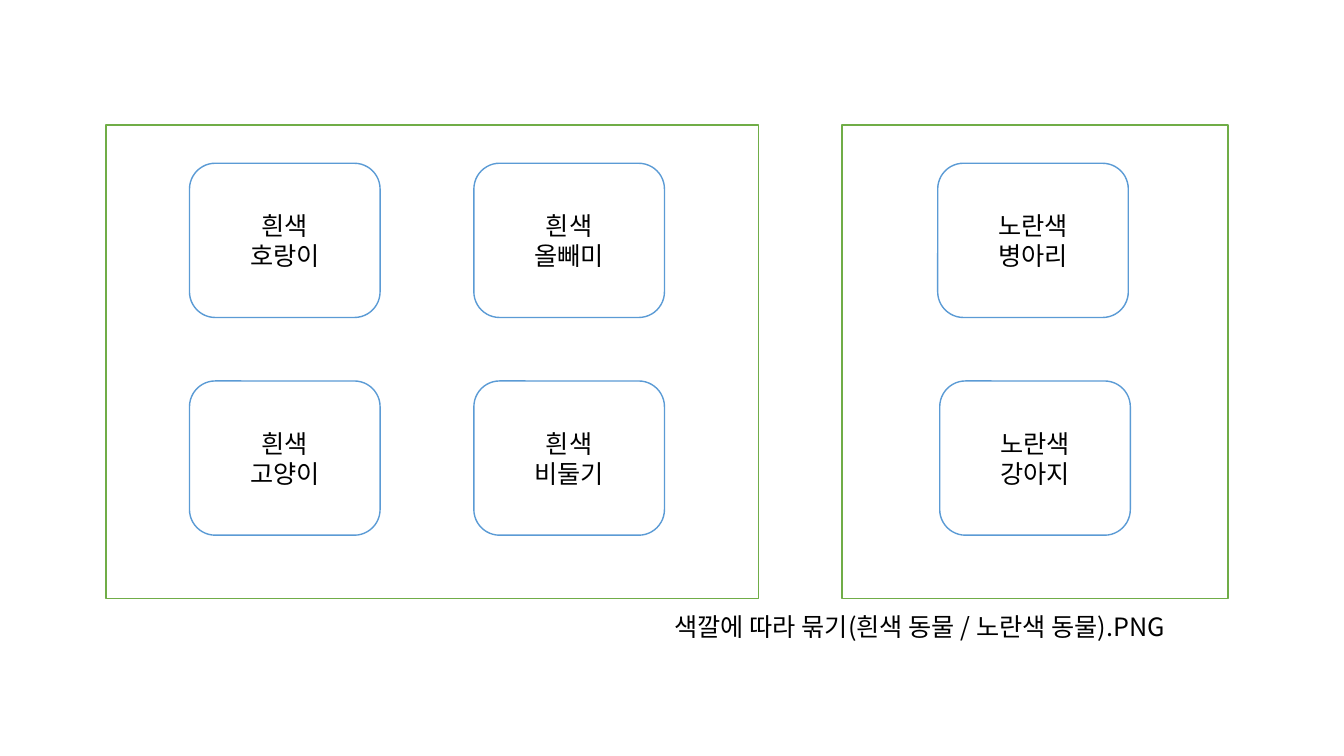
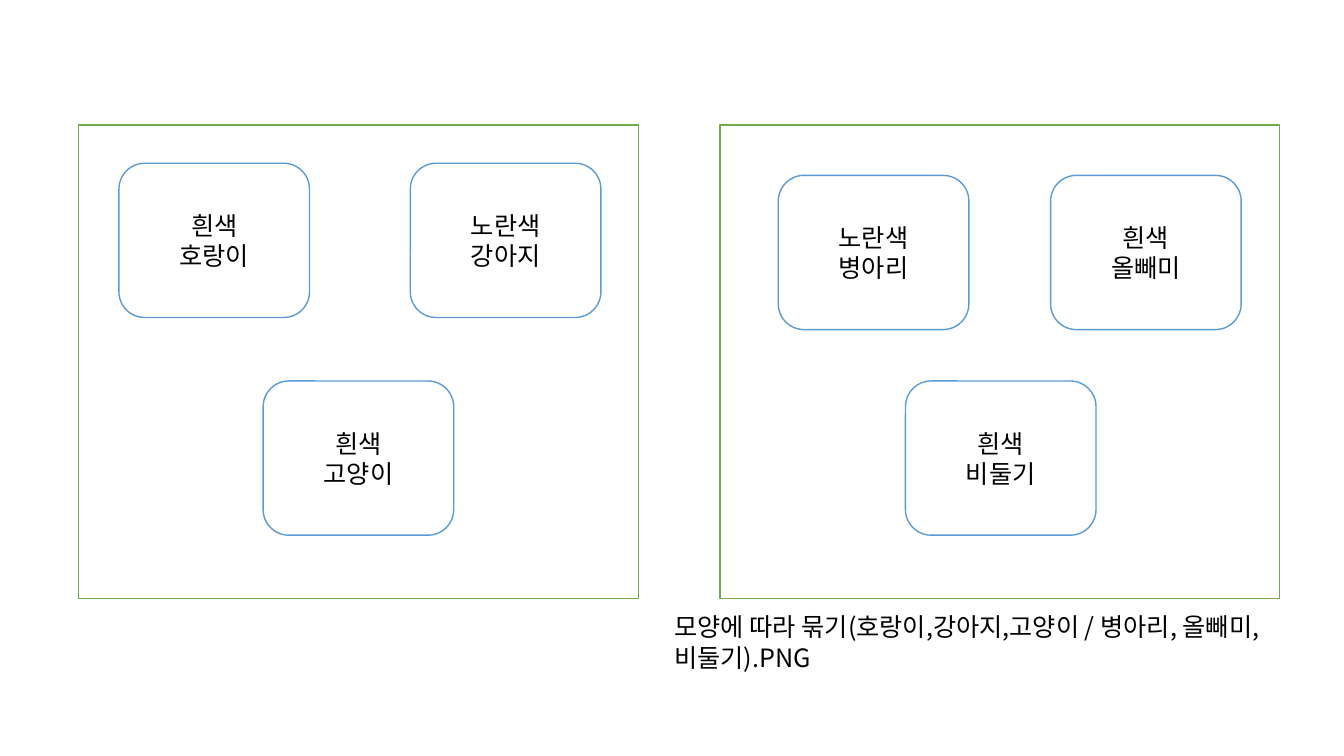
from lxml import etree
from pptx import Presentation
from pptx.dml.color import RGBColor
from pptx.enum.shapes import MSO_SHAPE
from pptx.enum.text import MSO_ANCHOR, MSO_AUTO_SIZE, PP_ALIGN
from pptx.oxml.ns import qn
from pptx.util import Inches, Pt

RECTANGLE, ROUNDED = MSO_SHAPE.RECTANGLE, MSO_SHAPE.ROUNDED_RECTANGLE
MIDDLE = MSO_ANCHOR.MIDDLE
LEFT, CENTER = PP_ALIGN.LEFT, PP_ALIGN.CENTER
GROW = MSO_AUTO_SIZE.SHAPE_TO_FIT_TEXT

# Shared positions, in percent of the slide's width or height
PANEL_TOP, PANEL_HEIGHT = 16.53, 62.67
CARD_WIDTH, CARD_HEIGHT = 14.18, 20.4
UPPER, UPPER_LOW, LOWER = 21.6, 23.2, 50.4
CAPTION_LEFT, CAPTION_TOP, CAPTION_WIDTH = 49.44, 80.27, 46.29
CAPTION_LINE = 5.33


def color(value):
    return RGBColor.from_string(value)


class Board:
    """Holds the style and the current slide."""
    font, size = "Noto Sans CJK KR", 18
    paper, ink = "FFFFFF", "000000"
    panel_line, card_line = "70AD47", "5B9BD5"

    def __init__(self, deck):
        self.deck = deck
        self.page = None

    def new_page(self):
        self.page = self.deck.slides.add_slide(self.deck.slide_layouts[6])

    def frame(self, left, top, width, height):
        across, down = self.deck.slide_width / 100, self.deck.slide_height / 100
        return (round(left * across), round(top * down),
                round(width * across), round(height * down))

    def outlined(self, kind, line, *place):
        box = self.page.shapes.add_shape(kind, *self.frame(*place))
        box.shadow.inherit = False
        box.fill.solid()
        box.fill.fore_color.rgb = color(self.paper)
        box.line.color.rgb = color(line)
        box.line.width = Pt(1)
        return box

    def fill_text(self, text_frame, text, align):
        text_frame.word_wrap = True
        for number, line in enumerate(text.split("\n")):
            para = text_frame.add_paragraph() if number else text_frame.paragraphs[0]
            para.text = line
            para.alignment = align
            font = para.font
            font.name, font.size = self.font, Pt(self.size)
            font.color.rgb = color(self.ink)
            # Korean glyphs take the East Asian typeface
            defaults = para._p.pPr.find(qn("a:defRPr"))
            etree.SubElement(defaults, qn("a:ea"), typeface=self.font)

    def panel(self, left, width):
        self.outlined(RECTANGLE, self.panel_line, left, PANEL_TOP, width, PANEL_HEIGHT)

    def card(self, left, top, hue, animal):
        box = self.outlined(ROUNDED, self.card_line, left, top, CARD_WIDTH, CARD_HEIGHT)
        box.text_frame.vertical_anchor = MIDDLE
        self.fill_text(box.text_frame, f"{hue}\n{animal}", CENTER)

    def caption(self, text, lines):
        place = self.frame(CAPTION_LEFT, CAPTION_TOP, CAPTION_WIDTH, CAPTION_LINE * lines)
        box = self.page.shapes.add_textbox(*place)
        self.fill_text(box.text_frame, text, LEFT)
        box.text_frame.auto_size = GROW


WHITE, YELLOW = "흰색", "노란색"

# Each page: panels (left, width), cards (left, top, hue, animal), caption, its lines
PAGES = [
    # Grouped by color
    ([(62.64, 28.73), (7.88, 48.54)],
     [(14.1, UPPER, WHITE, "호랑이"),
      (35.26, UPPER, WHITE, "올빼미"),
      (69.92, LOWER, YELLOW, "강아지"),
      (14.1, LOWER, WHITE, "고양이"),
      (69.77, UPPER, YELLOW, "병아리"),
      (35.26, LOWER, WHITE, "비둘기")],
     "색깔에 따라 묶기(흰색 동물 / 노란색 동물).PNG", 1),
    # Grouped by shape
    ([(53.56, 41.64), (5.85, 41.64)],
     [(8.85, UPPER, WHITE, "호랑이"),
      (78.17, UPPER_LOW, WHITE, "올빼미"),
      (30.53, UPPER, YELLOW, "강아지"),
      (19.58, LOWER, WHITE, "고양이"),
      (57.91, UPPER_LOW, YELLOW, "병아리"),
      (67.37, LOWER, WHITE, "비둘기")],
     "모양에 따라 묶기(호랑이,강아지,고양이 / 병아리, 올빼미, 비둘기).PNG", 1.78),
]

deck = Presentation()
deck.slide_width, deck.slide_height = Inches(13.33), Inches(7.5)
board = Board(deck)

for panels, cards, caption, lines in PAGES:
    board.new_page()
    for panel in panels:
        board.panel(*panel)
    for card in cards:
        board.card(*card)
    board.caption(caption, lines)

deck.save("out.pptx")
